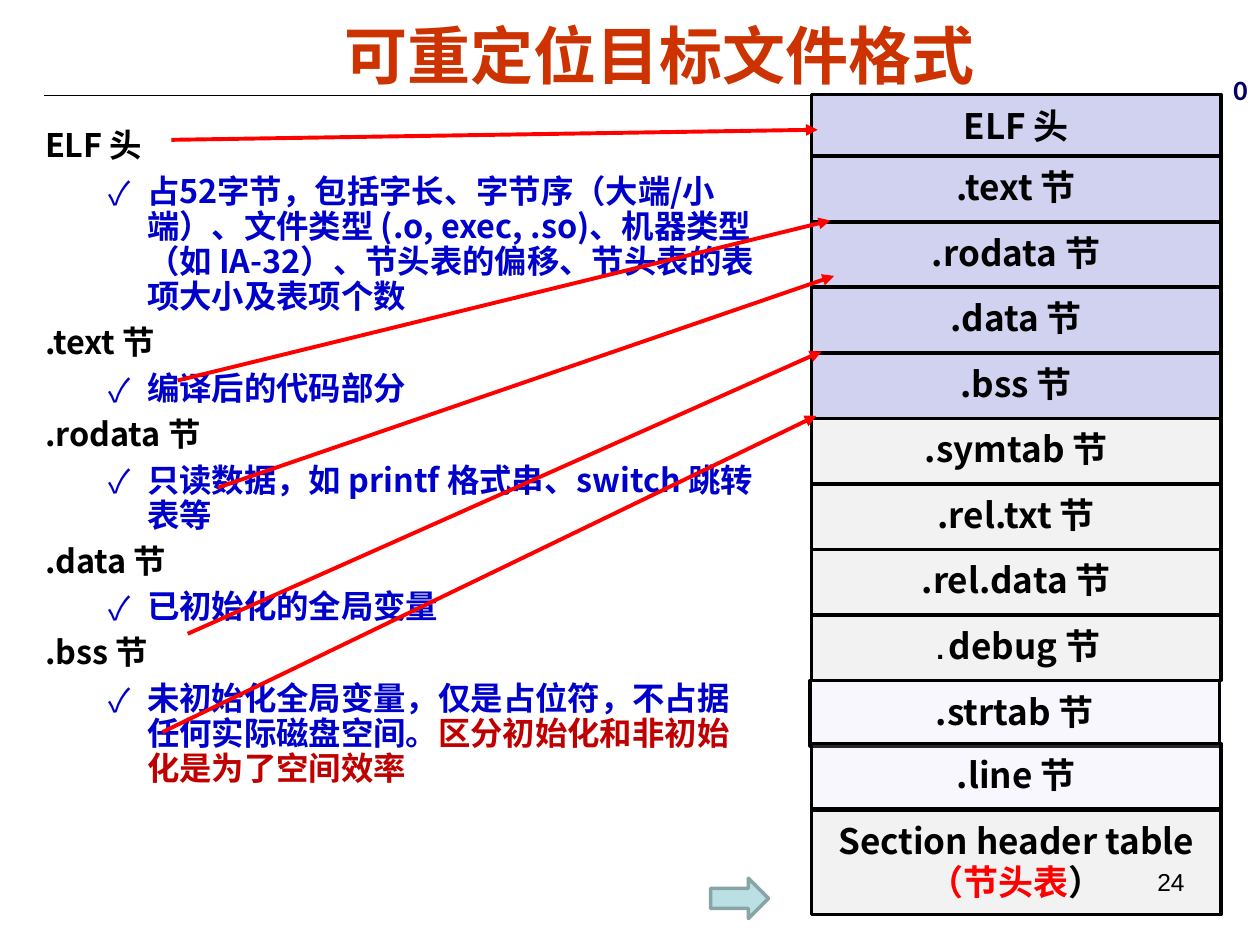
from dataclasses import dataclass

from lxml import etree
from pptx import Presentation
from pptx import util as u
from pptx.dml.color import RGBColor
from pptx.enum import shapes, text
from pptx.oxml import ns


@dataclass(frozen=True)
class Theme:
    sans: str = "Noto Sans CJK SC"
    head: str = "Arial"
    mono: str = "Courier New"
    corner: str = "Calibri"
    black: str = "000000"
    title: str = "CC3300"
    blue: str = "0000CC"
    navy: str = "000066"
    dark: str = "C00000"
    red: str = "FF0000"
    load: str = "D1D1F0"
    info: str = "F2F2F2"
    pale: str = "D6D6F5"
    arrow: str = "BBE0E3"
    edge: str = "89A4A7"
    big: float = 36
    cell: float = 20
    body: float = 18.5
    small: float = 16
    page: float = 14


T = Theme()
LEFT, WIDE, HIGH, FIRST = 6.44, 3.25, 0.52, 1.24
MID = text.PP_ALIGN.CENTER

NOTES = [
    ("ELF 头", [("占52字节，包括字长、字节序（大端/小端）、文件类型 (.o, exec, .so)、"
               "机器类型（如 IA-32）、节头表的偏移、节头表的表项大小及表项个数", T.blue)]),
    (".text 节", [("编译后的代码部分", T.blue)]),
    (".rodata 节", [("只读数据，如 printf 格式串、switch 跳转表等", T.blue)]),
    (".data 节", [("已初始化的全局变量", T.blue)]),
    (".bss 节", [("未初始化全局变量，仅是占位符，不占据任何实际磁盘空间。", T.blue),
                ("区分初始化和非初始化是为了空间效率", T.dark)]),
]
LOADED = [".text 节", ".rodata 节", ".data 节", ".bss 节"]
OTHERS = [".symtab 节", ".rel.txt 节", ".rel.data 节"]
ARROWS = [
    (1.36, 1.11, 6.49, 1.03),
    (1.41, 3.02, 6.59, 1.75),
    (1.73, 3.87, 6.62, 2.19),
    (1.49, 5.03, 6.52, 2.79),
    (1.29, 5.81, 6.48, 3.3),
]


def rgb(code):
    return RGBColor.from_string(code)


def sub(node, tag, **attrs):
    return etree.SubElement(node, ns.qn(tag), attrs)


def add_run(para, words, size, color=T.black, font=T.sans, bold=True):
    run = para.add_run()
    run.text = words
    face = run.font
    face.size, face.bold, face.name = u.Pt(size), bold, font
    face.color.rgb = rgb(color)
    east = T.sans if font == T.mono else font
    sub(run._r.get_or_add_rPr(), "a:ea", typeface=east)


def add_box(slide, left, top, width, height, wrap=True):
    box = slide.shapes.add_textbox(*map(u.Inches, (left, top, width, height)))
    box.text_frame.word_wrap = wrap
    return box.text_frame


def add_label(slide, place, words, size, color, font, align, bold=True, wrap=True):
    """Add a one-line text box."""
    frame = add_box(slide, *place, wrap)
    para = frame.paragraphs[0]
    para.alignment = align
    add_run(para, words, size, color, font, bold)
    return frame


def add_shape(slide, kind, place, fill, line):
    shape = slide.shapes.add_shape(kind, *map(u.Inches, place))
    shape.shadow.inherit = False
    shape.fill.solid()
    shape.fill.fore_color.rgb = rgb(fill)
    shape.line.color.rgb = rgb(line)
    shape.line.width = u.Pt(2)
    return shape


def add_cell(slide, top, rows, fill, height=HIGH, left=LEFT, space=0.94):
    """Add a section box; each row is a list of add_run arguments."""
    shape = add_shape(slide, shapes.MSO_SHAPE.RECTANGLE,
                      (left, top, WIDE, height), fill, T.black)
    frame = shape.text_frame
    frame.word_wrap = False
    frame.vertical_anchor = text.MSO_ANCHOR.MIDDLE
    for i, row in enumerate(rows):
        para = frame.add_paragraph() if i else frame.paragraphs[0]
        para.alignment, para.line_spacing = MID, space
        for run in row:
            add_run(para, *run)
    return shape


def add_line(slide, ends, color, width, arrow=False):
    line = slide.shapes.add_connector(
        shapes.MSO_CONNECTOR.STRAIGHT, *map(u.Inches, ends))
    line.line.color.rgb = rgb(color)
    line.line.width = u.Pt(width)
    if arrow:
        sub(line.line._get_or_add_ln(), "a:tailEnd", type="triangle")
    sub(line._element.spPr, "a:effectLst")


def add_notes(slide):
    frame = add_box(slide, 0.26, 0.98, 5.85, 6.28)
    for i, (name, parts) in enumerate(NOTES):
        head = frame.add_paragraph() if i else frame.paragraphs[0]
        note = frame.add_paragraph()
        note.level = 1
        props = note._p.get_or_add_pPr()
        props.set("marL", str(u.Inches(0.81)))
        props.set("indent", str(u.Inches(-0.31)))
        sub(sub(props, "a:buClr"), "a:srgbClr", val=T.blue)
        sub(props, "a:buFont", typeface=T.sans)
        sub(props, "a:buChar", char="✓")
        for para in (head, note):
            para.line_spacing = 0.9
            para.space_before = u.Pt(6.2 if i or para is note else 0)
        add_run(head, name, T.body)
        for words, color in parts:
            add_run(note, words, T.body, color)


def add_stack(slide):
    """Draw the object file from its header down to the section table."""
    add_cell(slide, 0.75, [[("ELF 头", T.cell)]], T.load, space=0.98)
    rows = [([(name, T.cell)], T.load) for name in LOADED]
    rows += [([(name, T.cell)], T.info) for name in OTHERS]
    rows.append(([(".", T.small, T.black, T.mono), ("debug 节", T.cell)], T.info))
    for i, (runs, fill) in enumerate(rows):
        add_cell(slide, FIRST + i * HIGH, [runs], fill)
    add_cell(slide, 6.43, [[("Section header table", T.cell)],
                           [("（节头表", T.cell, T.red), ("）", T.cell)]],
             T.info, height=0.83, space=0.98)
    for name, left, top in ((".strtab 节", 6.43, 5.4), (".line 节", LEFT, 5.9)):
        cell = add_cell(slide, top, [[(name, T.cell)]], T.pale, left=left)
        tint = cell._element.spPr.find(".//" + ns.qn("a:srgbClr"))
        sub(tint, "a:alpha", val="19000")


def main():
    deck = Presentation()
    deck.slide_width, deck.slide_height = u.Inches(10), u.Inches(7.5)
    slide = deck.slides.add_slide(deck.slide_layouts[6])
    add_line(slide, (0.35, 0.76, 9.65, 0.76), T.black, 0.75)
    title = add_label(slide, (0.47, 0, 9.53, 0.86), "可重定位目标文件格式",
                      T.big, T.title, T.head, MID)
    title.vertical_anchor = text.MSO_ANCHOR.MIDDLE
    add_notes(slide)
    add_stack(slide)
    corner = add_label(slide, (9.69, 0.54, 0.31, 0.36), "0", T.small, T.navy,
                       T.corner, text.PP_ALIGN.LEFT, wrap=False)
    corner.paragraphs[0].line_spacing = 0.98
    for ends in ARROWS:
        add_line(slide, ends, T.red, 2.25, arrow=True)
    add_label(slide, (7.17, 6.83, 2.33, 0.52), "24", T.page, T.black,
              T.head, text.PP_ALIGN.RIGHT, bold=False)
    add_shape(slide, shapes.MSO_SHAPE.RIGHT_ARROW, (5.64, 6.97, 0.46, 0.32),
              T.arrow, T.edge)
    deck.save("out.pptx")


if __name__ == "__main__":
    main()
